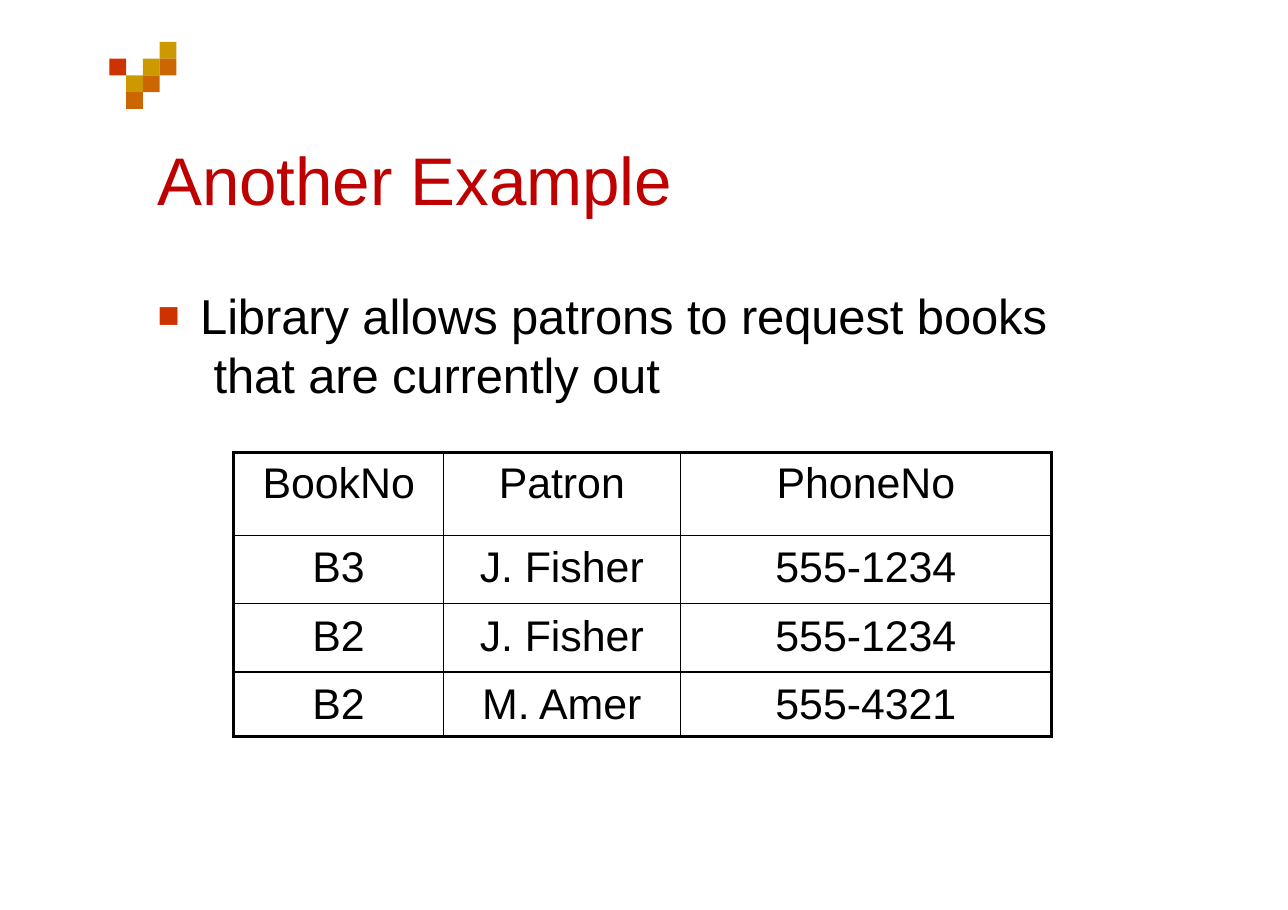
"""Build the library book request slide."""
from lxml import etree
from pptx import Presentation
from pptx.dml.color import RGBColor
from pptx.enum.shapes import MSO_SHAPE
from pptx.enum.text import PP_ALIGN
from pptx.oxml.ns import qn
from pptx.util import Pt

SQUARE, LEFT, CENTER = MSO_SHAPE.RECTANGLE, PP_ALIGN.LEFT, PP_ALIGN.CENTER

TITLE = "Another Example"
BULLET = "Library allows patrons to request books\v that are currently out"
REQUESTS = [
    ("BookNo", "Patron", "PhoneNo"),
    ("B3", "J. Fisher", "555-1234"),
    ("B2", "J. Fisher", "555-1234"),
    ("B2", "M. Amer", "555-4321"),
]
MOSAIC = {
    "gold": [(3, 0), (2, 1), (1, 2)],
    "orange": [(3, 1), (2, 2), (1, 3)],
    "red": [(0, 1)],
}
THEME = {
    "font": "Arial",
    "title": 44, "body": 32, "cell": 28,
    "heading": "BF0000", "text": "000000", "border": "000000",
    "gold": "CC9900", "orange": "CC6600", "red": "CC3300",
    "outer": 2.25, "inner": 1,
}
TITLE_BOX = (103, 88.6, 339, 54.7)
BODY_BOX = (103, 185, 584.6, 78.5)
MOSAIC_LEFT, MOSAIC_TOP, TILE = 71.5, 27.4, 10.95
TABLE_LEFT, TABLE_TOP = 152.9, 295.9
COLUMNS = [136.8, 154.8, 242.6]
ROWS = [54, 44.7, 44.7, 42.4]
HANGING = 27.8


def rgb(name):
    return RGBColor.from_string(THEME[name])


def write(tf, text, size, color, align=LEFT, spacing=0):
    p = tf.paragraphs[0]
    p.text = text
    p.alignment = align
    for r in p.runs:
        for name, value in {"name": THEME["font"], "size": Pt(THEME[size])}.items():
            setattr(r.font, name, value)
        r.font.color.rgb = rgb(color)
        r.font._element.set("spc", str(spacing))
    return p


def set_margins(target, top):
    for side, value in {"left": 0, "top": top, "right": 0, "bottom": 0}.items():
        setattr(target, f"margin_{side}", Pt(value))


def add_text(s, box, text, size, color):
    tf = s.shapes.add_textbox(*map(Pt, box)).text_frame
    tf.word_wrap = True
    set_margins(tf, 1.8)
    return write(tf, text, size, color, spacing=-10)


def add_bullet(p):
    pPr = p._p.get_or_add_pPr()
    pPr.set("marL", str(Pt(HANGING)))
    pPr.set("indent", str(-Pt(HANGING)))
    color = etree.SubElement(pPr, qn("a:buClr"))
    etree.SubElement(color, qn("a:srgbClr"), val=THEME["red"])
    etree.SubElement(pPr, qn("a:buSzPct"), val="75000")
    etree.SubElement(pPr, qn("a:buFont"), typeface=THEME["font"])
    etree.SubElement(pPr, qn("a:buChar"), char="■")


def add_mosaic(s):
    for color, tiles in MOSAIC.items():
        for col, row in tiles:
            x, y = MOSAIC_LEFT + col * TILE, MOSAIC_TOP + row * TILE
            sp = s.shapes.add_shape(SQUARE, Pt(x), Pt(y), Pt(TILE), Pt(TILE))
            sp.shadow.inherit = False
            sp.fill.solid()
            sp.fill.fore_color.rgb = rgb(color)
            sp.line.fill.background()


def set_borders(cell, row, col):
    outer = {
        "L": col == 0, "R": col == len(COLUMNS) - 1,
        "T": row == 0, "B": row == len(ROWS) - 1,
    }
    tcPr = cell._tc.get_or_add_tcPr()
    for side, is_outer in outer.items():
        width = THEME["outer" if is_outer else "inner"]
        line = etree.SubElement(tcPr, qn(f"a:ln{side}"), w=str(Pt(width)))
        fill = etree.SubElement(line, qn("a:solidFill"))
        etree.SubElement(fill, qn("a:srgbClr"), val=THEME["border"])


def add_requests(s):
    frame = s.shapes.add_table(len(ROWS), len(COLUMNS), Pt(TABLE_LEFT), Pt(TABLE_TOP),
                               Pt(sum(COLUMNS)), Pt(sum(ROWS)))
    table = frame.table
    table.first_row = table.horz_banding = False
    for col, width in enumerate(COLUMNS):
        table.columns[col].width = Pt(width)
    for row, values in enumerate(REQUESTS):
        table.rows[row].height = Pt(ROWS[row])
        for col, value in enumerate(values):
            cell = table.cell(row, col)
            set_margins(cell, 5.6 if row else 4.7)
            write(cell.text_frame, value, "cell", "text", CENTER)
            set_borders(cell, row, col)
            cell.fill.background()


def main():
    prs = Presentation()
    prs.slide_width, prs.slide_height = Pt(841.68), Pt(594.72)
    s = prs.slides.add_slide(prs.slide_layouts[6])
    add_mosaic(s)
    add_text(s, TITLE_BOX, TITLE, "title", "heading")
    add_bullet(add_text(s, BODY_BOX, BULLET, "body", "text"))
    add_requests(s)
    prs.save("out.pptx")


if __name__ == "__main__":
    main()
